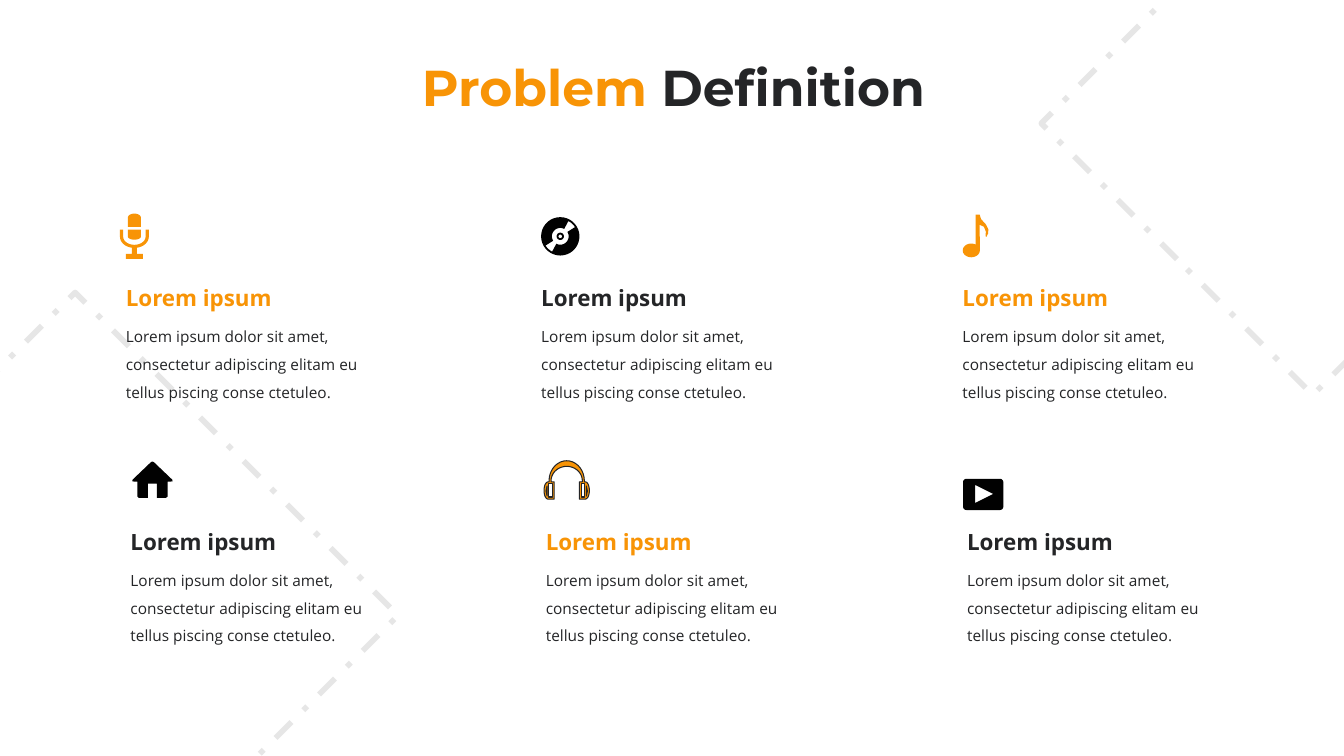
from dataclasses import dataclass
from math import cos, radians, sin

from pptx import Presentation
from pptx.dml.color import RGBColor
from pptx.enum import dml, text
from pptx.util import Pt


@dataclass(frozen=True)
class Theme:
    orange: RGBColor = RGBColor(0xF8, 0x94, 0x06)
    dark: RGBColor = RGBColor(0x24, 0x25, 0x27)
    black: RGBColor = RGBColor(0x01, 0x01, 0x01)
    grey: RGBColor = RGBColor(0xE6, 0xE6, 0xE6)
    title_font: str = "Montserrat"
    body_font: str = "Open Sans"
    title_size: int = 36
    heading_size: int = 16
    body_size: int = 11


THEME = Theme()
HEADING = "Lorem ipsum"
BODY = ("Lorem ipsum dolor sit amet, consectetur adipiscing elitam eu "
        "tellus piscing conse ctetuleo.")
COLUMN_LEFTS = (82.8, 379.5, 680.4)
ROW_TOPS = (190.1, 364.3)
ROW_INDENT = 3.3
FEATURE_WIDTH = 195


def arc(x, y, radius_x, radius_y, start, end):
    """Points along an ellipse; degrees run clockwise from the right."""
    steps = max(4, round(abs(end - start) / 10))
    angles = [radians(start + (end - start) * i / steps) for i in range(steps + 1)]
    return [(x + radius_x * cos(a), y + radius_y * sin(a)) for a in angles]


def circle(x, y, radius):
    return arc(x, y, radius, radius, 0, 360)


def rectangle(left, top, right, bottom):
    return [(left, top), (right, top), (right, bottom), (left, bottom)]


# Each icon is a list of contours in points; an inner contour cuts a hole.
def microphone():
    middle = 10.3
    stand = (arc(middle, 16.5, 10.3, 8, 0, 80)
             + [(12.1, 28.8), (16.4, 28.8), (16.4, 32.4),
                (4.2, 32.4), (4.2, 28.8), (8.5, 28.8)]
             + arc(middle, 16.5, 10.3, 8, 100, 180)
             + [(0, 11.5), (2.3, 11.5)]
             + arc(middle, 16.5, 8, 5.8, 180, 0)
             + [(18.3, 11.5), (20.6, 11.5)])
    head = arc(middle, 3, 4.7, 3, 180, 360) + [(15, 9.4), (5.6, 9.4)]
    base = [(5.6, 11.5), (15, 11.5)] + arc(middle, 16.3, 4.7, 2.3, 0, 180)
    return [stand, head, base]


def disc():
    middle = 13.7
    hub, shine = 6, 12.4
    cutout = []
    for radius, start, end in ((hub, -32, 118), (shine, 118, 148),
                               (hub, 148, 298), (shine, 298, 328)):
        cutout += arc(middle, middle, radius, radius, start, end)
    return [circle(middle, middle, 13.7), cutout,
            circle(middle, middle, 2.6), circle(middle, middle, 1.3)]


def music_note():
    flag = [(10.1, 0), (13, 0), (14, 3.2), (17.5, 7), (19.2, 10.5), (19, 13.5),
            (17.8, 15.8), (17.2, 15.5), (17.4, 12), (16, 8.6), (13, 7.2)]
    return [flag + arc(7, 25.5, 6.1, 4.9, 0, 300)]


def house():
    return [[(13.8, 0.4), (14.8, 0), (15.8, 0.4), (29, 13), (29.2, 14.2),
             (25.6, 14.4), (25.6, 25), (24.6, 25.9), (18, 25.9), (18, 15.8),
             (11.5, 15.8), (11.5, 25.9), (5, 25.9), (4, 25), (4, 14.4),
             (0.4, 14.2), (0.6, 13)]]


def headphones():
    width, middle = 32.4, 16.2
    right_cup = ([(28.8, 15.1)] + arc(29.5, 21.25, 2.9, 6.15, -90, 90)
                 + [(25.2, 27.4), (25.2, 15.1), (27.4, 15.1)])
    left_cup = [(width - x, y) for x, y in reversed(right_cup)]
    outline = (arc(middle, 14.4, 12.6, 14.4, 180, 360) + right_cup
               + arc(middle, 14.4, 11.2, 10.4, 360, 180) + left_cup)
    holes = [rectangle(26.6, 16.6, 29.2, 25.9), [(31, 21.6), (30.2, 18), (30.2, 25.2)]]
    mirrored = [[(width - x, y) for x, y in hole] for hole in holes]
    return [outline] + holes + mirrored


def play_button():
    width, height, radius = 28.8, 22.3, 2.5
    corners = ((width - radius, height - radius), (radius, height - radius),
               (radius, radius), (width - radius, radius))
    frame = []
    for quarter, (x, y) in enumerate(corners):
        frame += arc(x, y, radius, radius, 90 * quarter, 90 * quarter + 90)
    return [frame, [(8.6, 4.3), (8.6, 17.3), (21.6, 10.8)]]


# Icon outline, offset from the heading box, icon colour, heading colour, outlined
FEATURES = (
    (microphone, (2.9, -37.5), THEME.orange, THEME.orange, False),
    (disc, (7, -35), THEME.black, THEME.dark, False),
    (music_note, (6.4, -36.7), THEME.orange, THEME.orange, False),
    (house, (8, -34.6), THEME.black, THEME.dark, False),
    (headphones, (5.8, -35.2), THEME.orange, THEME.orange, True),
    (play_button, (4.2, -22.3), THEME.black, THEME.dark, False),
)


def add_icon(shapes, contours, left, top, color, outlined):
    placed = [[(Pt(left + x), Pt(top + y)) for x, y in contour] for contour in contours]
    builder = shapes.build_freeform(*placed[0][0], scale=1.0)
    builder.add_line_segments(placed[0][1:], close=True)
    for contour in placed[1:]:
        builder.move_to(*contour[0])
        builder.add_line_segments(contour[1:], close=True)
    shape = builder.convert_to_shape()
    shape.shadow.inherit = False
    shape.fill.solid()
    shape.fill.fore_color.rgb = color
    if outlined:
        shape.line.color.rgb = THEME.dark
        shape.line.width = Pt(0.75)
    else:
        shape.line.fill.background()


def add_text(shapes, content, left, top, width, height, size, color, bold=False):
    frame = shapes.add_textbox(Pt(left), Pt(top), Pt(width), Pt(height)).text_frame
    frame.word_wrap = True
    frame.auto_size = text.MSO_AUTO_SIZE.SHAPE_TO_FIT_TEXT
    paragraph = frame.paragraphs[0]
    paragraph.text = content
    paragraph.line_spacing = 1.5
    font = paragraph.font
    font.name, font.size, font.bold = THEME.body_font, Pt(size), bold
    font.color.rgb = color


def add_feature(slide, left, top, width, feature):
    """Group an icon, its heading and its text; left and top place the heading."""
    icon, (icon_x, icon_y), icon_color, heading_color, outlined = feature
    shapes = slide.shapes.add_group_shape().shapes
    add_text(shapes, HEADING, left, top, width, 33.1,
             THEME.heading_size, heading_color, bold=True)
    add_text(shapes, BODY, left, top + 33.5, width, 67, THEME.body_size, THEME.dark)
    add_icon(shapes, icon(), left + icon_x, top + icon_y, icon_color, outlined)


def add_diamond(slide, left, top, side):
    shape = slide.shapes.add_shape(1, Pt(left), Pt(top), Pt(side), Pt(side))
    shape.rotation = 45
    shape.shadow.inherit = False
    shape.fill.background()
    shape.line.color.rgb = THEME.grey
    shape.line.width = Pt(4)
    shape.line.dash_style = dml.MSO_LINE.DASH_DOT


def set_title(slide, left, top, width, height):
    title = slide.shapes.title
    title.left, title.top, title.width, title.height = map(Pt, (left, top, width, height))
    frame = title.text_frame
    frame.word_wrap = True
    frame.auto_size = text.MSO_AUTO_SIZE.NONE
    frame.vertical_anchor = text.MSO_ANCHOR.TOP
    paragraph = frame.paragraphs[0]
    paragraph.alignment = text.PP_ALIGN.CENTER
    font = paragraph.font
    font.name, font.size, font.bold = THEME.title_font, Pt(THEME.title_size), True
    for words, color in (("Problem ", THEME.orange), ("Definition", THEME.dark)):
        run = paragraph.add_run()
        run.text = words
        run.font.color.rgb = color


def main():
    presentation = Presentation()
    presentation.slide_width, presentation.slide_height = Pt(960), Pt(540)
    slide = presentation.slides.add_slide(presentation.slide_layouts[5])
    add_diamond(slide, -109.4, 276.5, 326.2)
    add_diamond(slide, 800.6, -49, 274.3)
    set_title(slide, 285.1, 36.7, 391.7, 51.1)
    for index, feature in enumerate(FEATURES):
        row, column = divmod(index, len(COLUMN_LEFTS))
        add_feature(slide, COLUMN_LEFTS[column] + row * ROW_INDENT, ROW_TOPS[row],
                    FEATURE_WIDTH, feature)
    presentation.save("out.pptx")


if __name__ == "__main__":
    main()
